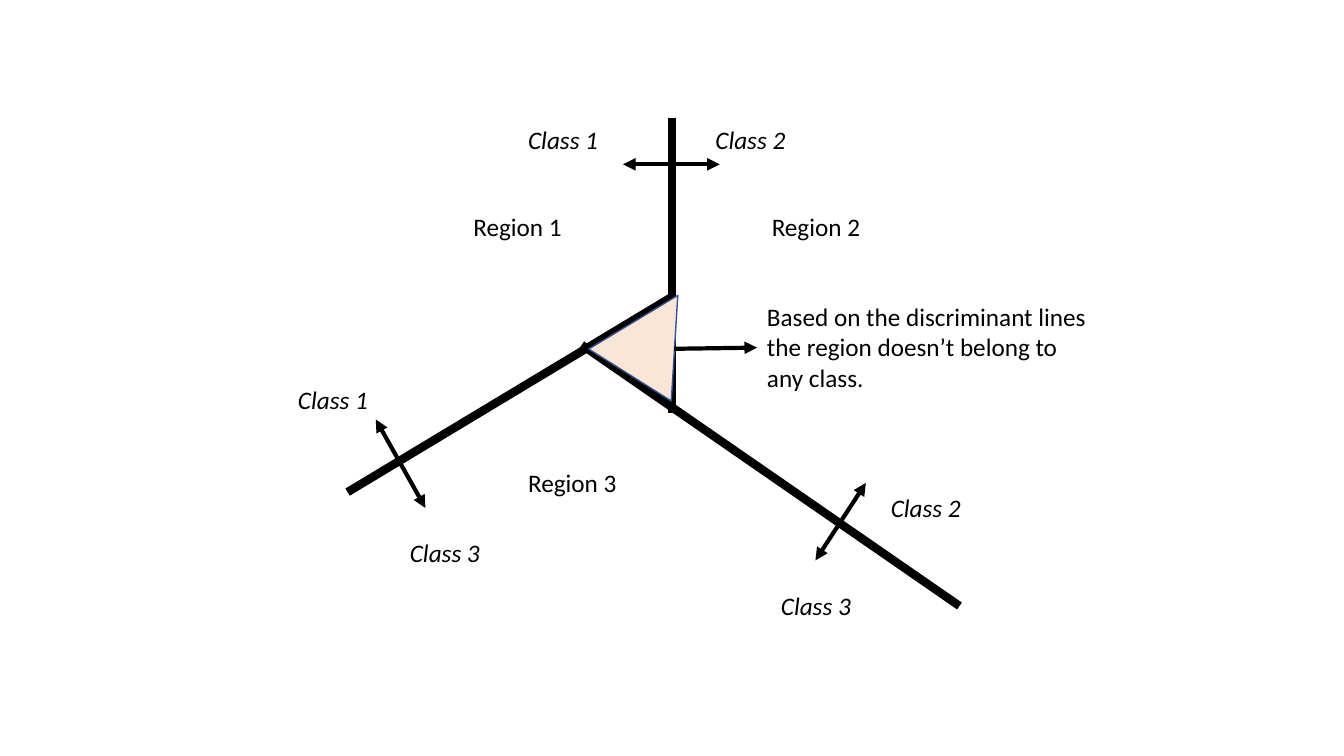
from lxml import etree
from pptx import Presentation
from pptx.dml.color import RGBColor
from pptx.enum.shapes import MSO_CONNECTOR, MSO_SHAPE
from pptx.enum.text import MSO_AUTO_SIZE
from pptx.oxml.ns import qn
from pptx.util import Cm, Pt

STRAIGHT = MSO_CONNECTOR.STRAIGHT
TRIANGLE = MSO_SHAPE.ISOSCELES_TRIANGLE
FIT_SHAPE = MSO_AUTO_SIZE.SHAPE_TO_FIT_TEXT
BLACK = RGBColor(0x00, 0x00, 0x00)
PEACH = RGBColor(0xFB, 0xE5, 0xD6)
BLUE = RGBColor(0x32, 0x54, 0x91)

LABEL_WIDTH, LABEL_HEIGHT = 3, 1.02
NOTE = "Based on the discriminant lines the region doesn\u2019t belong to any class."
NOTE_BOX = (19.08, 7.47, 8.76, 2.57)

discriminant_lines = [
    (16.94, 2.97, 16.94, 10.41),
    (8.76, 12.4, 16.92, 7.49),
    (14.66, 8.69, 24.18, 15.27),
]
class_arrows = [
    (15.7, 4.14, 18.14, 4.14),
    (20.55, 14.12, 21.82, 12.17),
    (10.72, 12.8, 9.47, 10.57),
]
note_arrow = (16.99, 8.79, 19.08, 8.76)
region_labels = [
    ("Region 1", 11.68, 5.21),
    ("Region 2", 19.2, 5.21),
    ("Region 3", 13.06, 11.66),
]
class_labels = [
    ("Class 1", 13.06, 3),
    ("Class 2", 17.78, 3),
    ("Class 1", 7.26, 9.55),
    ("Class 3", 10.08, 13.41),
    ("Class 2", 22.2, 12.27),
    ("Class 3", 19.43, 14.76),
]

presentation = Presentation()
presentation.slide_width = Cm(33.87)
presentation.slide_height = Cm(19.05)
slide = presentation.slides.add_slide(presentation.slide_layouts[6])


def add_line(ends, width, arrowheads=()):
    connector = slide.shapes.add_connector(STRAIGHT, *map(Cm, ends))
    connector.line.color.rgb = BLACK
    connector.line.width = Pt(width)
    line_xml = connector.line._get_or_add_ln()
    for arrowhead in arrowheads:
        etree.SubElement(line_xml, qn("a:" + arrowhead), type="triangle")
    etree.SubElement(connector._element.spPr, qn("a:effectLst"))


def add_text(text, box, italic=False):
    text_box = slide.shapes.add_textbox(*map(Cm, box))
    frame = text_box.text_frame
    frame.word_wrap = True
    frame.auto_size = FIT_SHAPE
    paragraph = frame.paragraphs[0]
    paragraph.text = text
    font = paragraph.font
    font.name, font.size, font.italic = "Calibri", Pt(18), italic
    font.color.rgb = BLACK


for ends in discriminant_lines:
    add_line(ends, 6)

unclassified = slide.shapes.add_shape(TRIANGLE, Cm(15.27), Cm(7.29), Cm(2.46), Cm(2.34))
unclassified.adjustments[0] = 0.48
unclassified.rotation = 32.2
unclassified.shadow.inherit = False
unclassified.fill.solid()
unclassified.fill.fore_color.rgb = PEACH
unclassified.line.color.rgb = BLUE
unclassified.line.width = Pt(1)

for ends in class_arrows:
    add_line(ends, 3, ("headEnd", "tailEnd"))
add_line(note_arrow, 3, ("tailEnd",))

for labels, italic in ((region_labels, False), (class_labels, True)):
    for text, left, top in labels:
        add_text(text, (left, top, LABEL_WIDTH, LABEL_HEIGHT), italic)
add_text(NOTE, NOTE_BOX)

presentation.save("out.pptx")
